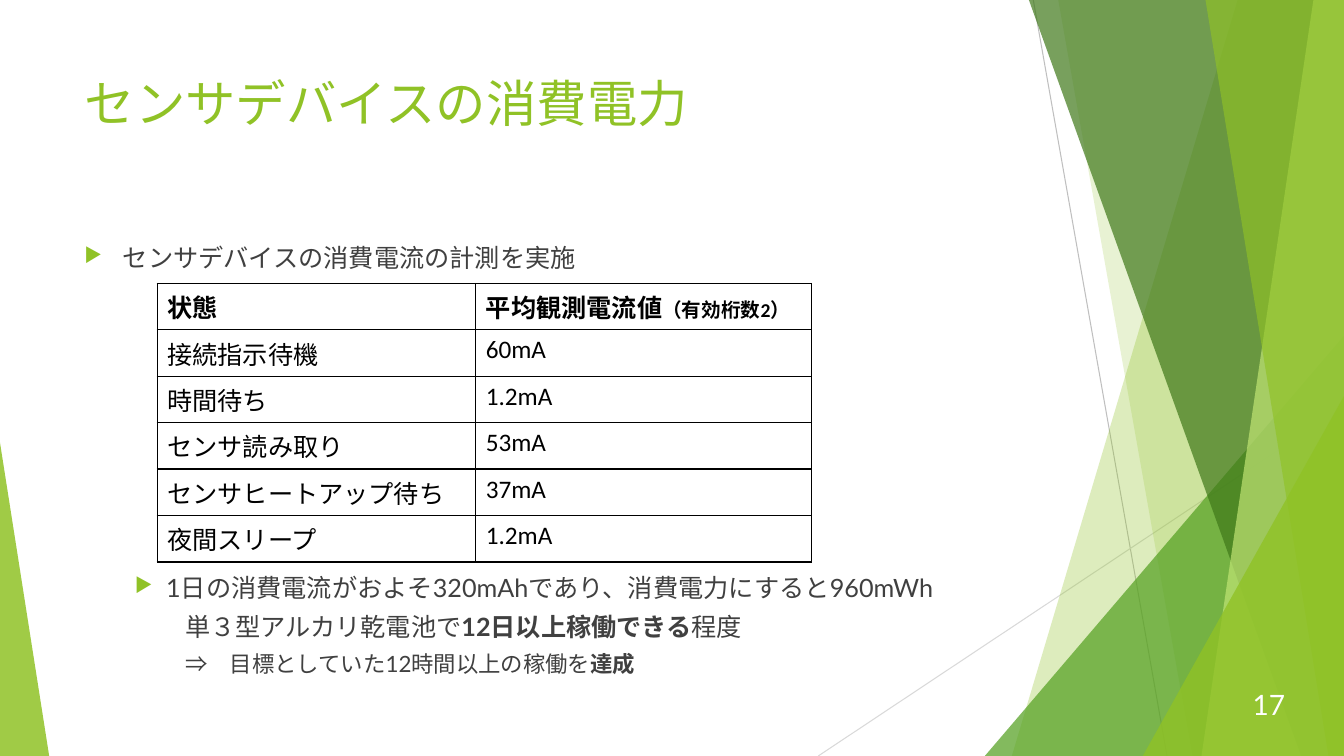
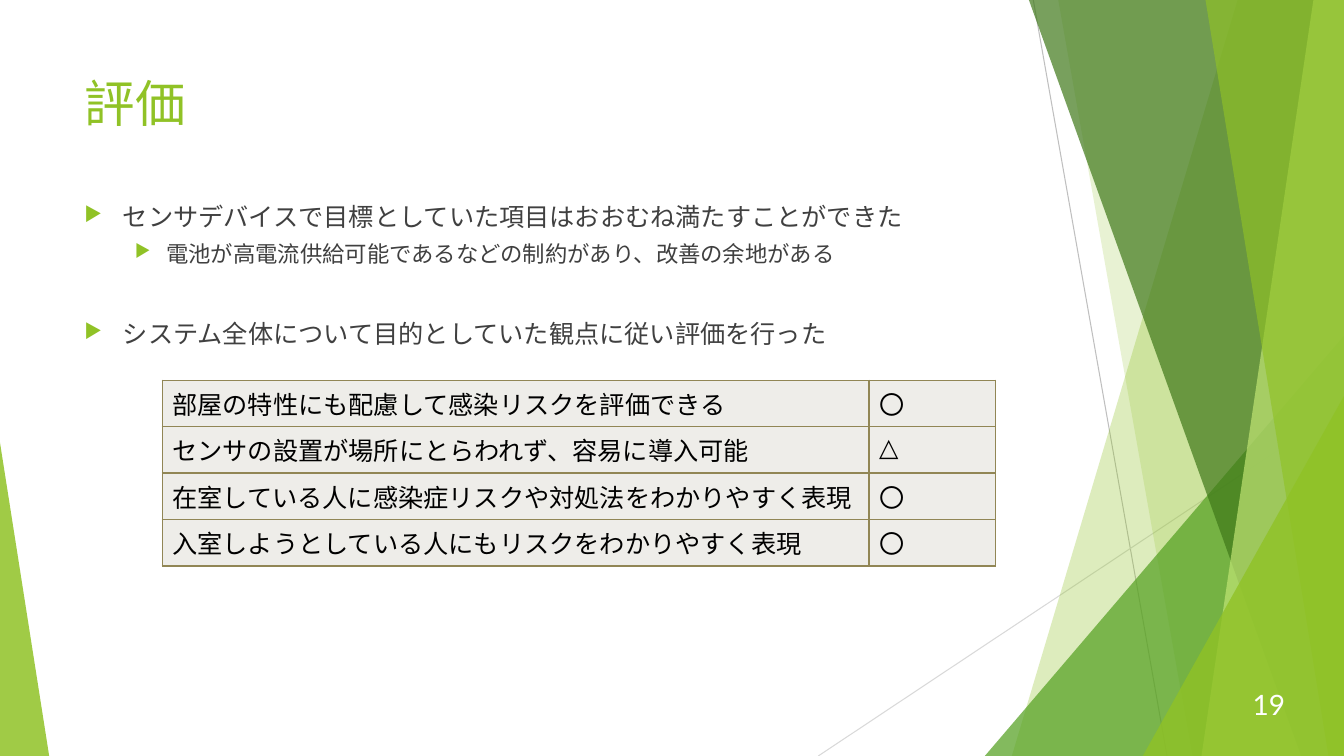
from dataclasses import dataclass

from lxml.etree import SubElement
from pptx import Presentation
from pptx.dml.color import RGBColor
from pptx.enum.shapes import MSO_CONNECTOR as Conn, MSO_SHAPE as Shape
from pptx.enum.text import MSO_ANCHOR as Anchor, MSO_AUTO_SIZE as AutoSize, PP_ALIGN as Align
from pptx.oxml.ns import qn
from pptx.util import Cm, Pt


@dataclass(frozen=True)
class Theme:
    font: str = "Lato"
    table_font: str = "Calibri"
    accent: str = "90C226"
    mid_green: str = "54A021"
    dark_green: str = "3F7819"
    pale_green: str = "C0E474"
    line_dark: str = "BFBFBF"
    line_light: str = "D9D9D9"
    body: str = "404040"
    ink: str = "000000"
    white: str = "FFFFFF"
    grid: str = "918655"
    panel: str = "EEEDE9"
    title_size: int = 36
    number_size: int = 20
    body_size: int = 18
    sub_size: int = 16
    note_size: int = 14


T = Theme()
W, H = 33.87, 19.05
LEFT = 1.88
ROW_H = 1.17


def rgb(color):
    return RGBColor.from_string(color)


def write(p, text, size=T.body_size, color=T.body, font=T.font, bold=False):
    r = p.add_run()
    r.text = text
    r.font.size = Pt(size)
    r.font.name = font
    r.font.bold = bold
    r.font.color.rgb = rgb(color)


def add_box(s, box):
    tf = s.shapes.add_textbox(*map(Cm, box)).text_frame
    tf.word_wrap = True
    return tf


def set_indent(p, margin, hanging=0):
    pPr = p._p.get_or_add_pPr()
    pPr.set("marL", str(Cm(margin)))
    pPr.set("indent", str(-Cm(hanging)))
    if hanging:
        clr = SubElement(pPr, qn("a:buClr"))
        SubElement(clr, qn("a:srgbClr"), val=T.accent)
        SubElement(pPr, qn("a:buSzPct"), val="80000")
        SubElement(pPr, qn("a:buChar"), char="▶")
    else:
        SubElement(pPr, qn("a:buNone"))


LEVELS = {"main": (0.97, 0.97), "sub": (2.06, 0.79), "plain": (2.54, 0)}


def add_body(s, box, lines):
    tf = add_box(s, box)
    for i, (level, size, before, runs) in enumerate(lines):
        p = tf.add_paragraph() if i else tf.paragraphs[0]
        p.space_before = Pt(before)
        set_indent(p, *LEVELS[level])
        for text, bold in runs:
            write(p, text, size=size, bold=bold)


def paint(sp, color, opacity):
    sp.shadow.inherit = False
    sp.fill.solid()
    sp.fill.fore_color.rgb = rgb(color)
    sp.line.fill.background()
    clr = sp.element.find(f".//{qn('a:solidFill')}/{qn('a:srgbClr')}")
    SubElement(clr, qn("a:alpha"), val=str(opacity * 1000))


def add_ray(s, start, end, color):
    ray = s.shapes.add_connector(Conn.STRAIGHT, *map(Cm, start + end))
    ray.line.color.rgb = rgb(color)
    ray.line.width = Pt(0.75)
    SubElement(ray.element.spPr, qn("a:effectLst"))


def add_band(s, top_x, bottom_x, color, opacity):
    fb = s.shapes.build_freeform(Cm(top_x), 0)
    corners = [(W, 0), (W, H), (bottom_x, H)]
    fb.add_line_segments([(Cm(x), Cm(y)) for x, y in corners])
    paint(fb.convert_to_shape(), color, opacity)


def add_wedge(s, left, top, right, apex, color, opacity):
    box = left, top, right - left, H - top
    sp = s.shapes.add_shape(Shape.ISOSCELES_TRIANGLE, *map(Cm, box))
    sp.adjustments[0] = apex
    paint(sp, color, opacity)


def add_backdrop(s):
    add_ray(s, (26.04, 0), (29.41, H), T.line_dark)
    add_ray(s, (W, 10.24), (20.62, H), T.line_light)
    add_band(s, 31.19, 25.5, T.accent, 30)
    add_band(s, 26.67, 30.05, T.accent, 20)
    add_wedge(s, 24.82, 8.46, W, 1, T.mid_green, 72)
    add_band(s, 25.93, 32.79, T.dark_green, 70)
    add_band(s, 33.1, 30.28, T.pale_green, 70)
    add_band(s, 30.38, 33.48, T.accent, 65)
    add_wedge(s, 28.8, 9.98, W, 1, T.accent, 80)
    add_wedge(s, 0, 11.15, 1.24, 0, T.accent, 85)


def add_title(s, text, box):
    sp = s.shapes.title
    sp.left, sp.top, sp.width, sp.height = map(Cm, box)
    tf = sp.text_frame
    tf.auto_size = AutoSize.NONE
    tf.vertical_anchor = Anchor.TOP
    p = tf.paragraphs[0]
    p.alignment = Align.LEFT
    write(p, text, size=T.title_size, color=T.accent)


def add_number(s, number, box):
    tf = add_box(s, box)
    tf.vertical_anchor = Anchor.MIDDLE
    p = tf.paragraphs[0]
    p.alignment = Align.RIGHT
    write(p, str(number), size=T.number_size, color=T.white)


def start_slide(prs, title, number):
    s = prs.slides.add_slide(prs.slide_layouts[5])
    add_backdrop(s)
    add_title(s, title, (LEFT, 1.7, 23.88, 3.66))
    add_number(s, number, (30.73, 17.25, 1.91, 1.02))
    return s


def set_borders(cell, color):
    tcPr = cell._tc.get_or_add_tcPr()
    for i, side in enumerate(("lnL", "lnR", "lnT", "lnB")):
        ln = SubElement(tcPr, qn(f"a:{side}"), w=str(Pt(1)))
        fill = SubElement(ln, qn("a:solidFill"))
        SubElement(fill, qn("a:srgbClr"), val=color)
        tcPr.remove(ln)
        tcPr.insert(i, ln)


def add_grid(s, left, top, widths, rows, border, font=T.font, fill=None, header=False):
    box = left, top, sum(widths), ROW_H * len(rows)
    table = s.shapes.add_table(len(rows), len(widths), *map(Cm, box)).table
    table.first_row = header
    table.horz_banding = False
    for col, width in zip(table.columns, widths):
        col.width = Cm(width)
    for i, row in enumerate(rows):
        table.rows[i].height = Cm(ROW_H)
        for j, text in enumerate(row):
            cell = table.cell(i, j)
            if fill:
                cell.fill.solid()
                cell.fill.fore_color.rgb = rgb(fill)
            else:
                cell.fill.background()
            set_borders(cell, border)
            write(cell.text_frame.paragraphs[0], text, color=T.ink, font=font,
                  bold=header and i == 0)
    return table


def power_slide(prs):
    s = start_slide(prs, "センサデバイスの消費電力", 17)
    add_body(s, (LEFT, 5.99, 23.88, 1.1), [
        ("main", T.body_size, 0, [("センサデバイスの消費電流の計測を実施", False)]),
    ])
    add_body(s, (LEFT, 14.3, 23.88, 3.4), [
        ("sub", T.body_size, 0,
         [("1日の消費電流がおよそ320mAhであり、消費電力にすると960mWh", False)]),
        ("plain", T.body_size, 6,
         [("単３型アルカリ乾電池で", False), ("12日以上稼働できる", True), ("程度", False)]),
        ("plain", T.sub_size, 6,
         [("⇒　目標としていた12時間以上の稼働を", False), ("達成", True)]),
    ])
    table = add_grid(s, 3.96, 7.14, (8.03, 8.46), [
        ("状態", "平均観測電流値"),
        ("接続指示待機", "60mA"),
        ("時間待ち", "1.2mA"),
        ("センサ読み取り", "53mA"),
        ("センサヒートアップ待ち", "37mA"),
        ("夜間スリープ", "1.2mA"),
    ], T.ink, font=T.table_font, header=True)
    write(table.cell(0, 1).text_frame.paragraphs[0], "（有効桁数2）",
          size=T.note_size, color=T.ink, font=T.table_font, bold=True)


def evaluation_slide(prs):
    s = start_slide(prs, "評価", 19)
    add_body(s, (LEFT, 4.95, 27.28, 4.5), [
        ("main", T.body_size, 0,
         [("センサデバイスで目標としていた項目はおおむね満たすことができた", False)]),
        ("sub", T.sub_size, 6,
         [("電池が高電流供給可能であるなどの制約があり、改善の余地がある", False)]),
        ("main", T.body_size, 37,
         [("システム全体について目的としていた観点に従い評価を行った", False)]),
    ])
    add_grid(s, 4.09, 9.58, (17.81, 3.18), [
        ("部屋の特性にも配慮して感染リスクを評価できる", "〇"),
        ("センサの設置が場所にとらわれず、容易に導入可能", "△"),
        ("在室している人に感染症リスクや対処法をわかりやすく表現", "〇"),
        ("入室しようとしている人にもリスクをわかりやすく表現", "〇"),
    ], T.grid, fill=T.panel)


def main():
    prs = Presentation()
    prs.slide_width, prs.slide_height = Cm(W), Cm(H)
    power_slide(prs)
    evaluation_slide(prs)
    prs.save("out.pptx")


if __name__ == "__main__":
    main()
